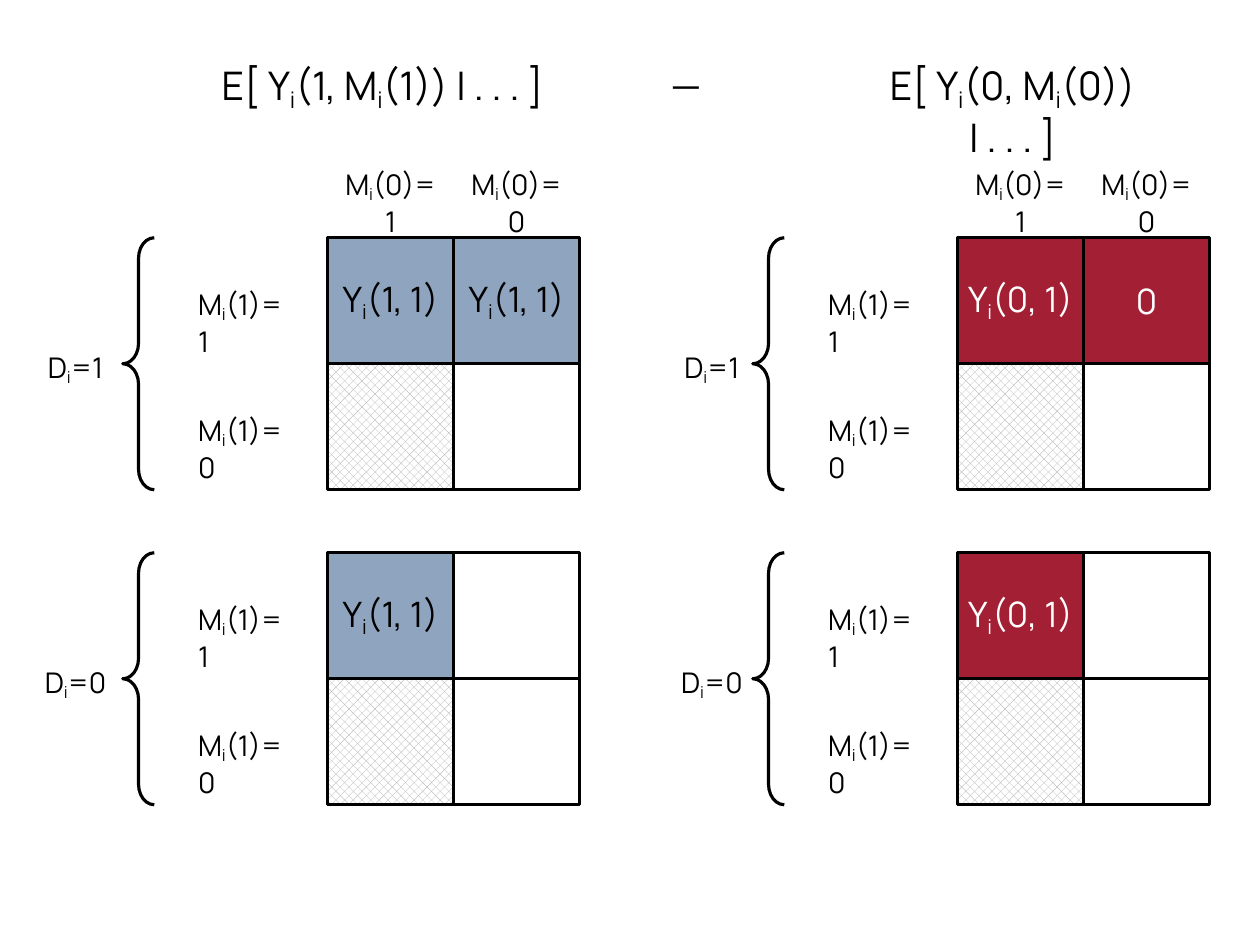
from pptx import Presentation
from pptx.dml.color import RGBColor
from pptx.enum.dml import MSO_PATTERN
from pptx.enum.shapes import MSO_SHAPE
from pptx.enum.text import MSO_ANCHOR, MSO_AUTO_SIZE, PP_ALIGN
from pptx.util import Pt

PX = 9144
FONT = "Manrope"
BLACK = RGBColor(0x00, 0x00, 0x00)
WHITE = RGBColor(0xFF, 0xFF, 0xFF)
BLUE = RGBColor(0x8F, 0xA4, 0xBF)
RED = RGBColor(0xA3, 0x1F, 0x34)
GREY = RGBColor(0xB2, 0xB2, 0xB2)

RECTANGLE = MSO_SHAPE.RECTANGLE
LEFT_BRACE = MSO_SHAPE.LEFT_BRACE
DIAMONDS = MSO_PATTERN.OUTLINED_DIAMOND
MIDDLE = MSO_ANCHOR.MIDDLE
GROW = MSO_AUTO_SIZE.SHAPE_TO_FIT_TEXT
LEFT, CENTER = PP_ALIGN.LEFT, PP_ALIGN.CENTER

CELL = 80
GRID_LEFT = 208
BLOCKS = [("D_i=1", 151), ("D_i=0", 351)]


def scaled(*lengths):
    """Turn px lengths into EMU."""
    return [length * PX for length in lengths]


def write_formula(frame, formula, size, color, align):
    """Write a formula in which _i stands for a subscript i."""
    para = frame.paragraphs[0]
    para.alignment = align
    for index, part in enumerate(formula.split("_i")):
        pieces = [(part, False)] if index == 0 else [("i", True), (part, False)]
        for text, lowered in pieces:
            span = para.add_run()
            span.text = text
            span.font.name = FONT
            span.font.size = Pt(size)
            span.font.color.rgb = color
            if lowered:
                span._r.get_or_add_rPr().set("baseline", "-20000")


def add_label(page, formula, left, top, width, height, size=13, align=CENTER):
    """Add a wrapping text box with a formula."""
    box = page.shapes.add_textbox(*scaled(left, top, width, height))
    box.text_frame.word_wrap = True
    box.text_frame.auto_size = GROW
    write_formula(box.text_frame, formula, size, BLACK, align)


def add_outline(page, kind, left, top, width, height):
    """Add a preset shape with a black outline and no shadow."""
    shape = page.shapes.add_shape(kind, *scaled(left, top, width, height))
    shape.shadow.inherit = False
    shape.line.color.rgb = BLACK
    shape.line.width = Pt(1.45)
    return shape


def add_cell(page, left, top, fill, formula="", color=BLACK):
    """Add one solid square of a grid, with its formula if it has one."""
    cell = add_outline(page, RECTANGLE, left, top, CELL, CELL)
    cell.fill.solid()
    cell.fill.fore_color.rgb = fill
    if formula:
        frame = cell.text_frame
        frame.word_wrap = False
        frame.vertical_anchor = MIDDLE
        frame.margin_left = frame.margin_right = 9 * PX
        frame.margin_top = frame.margin_bottom = 4 * PX
        write_formula(frame, formula, 16, color, CENTER)


def add_hatched_cell(page, left, top):
    """Add one hatched square of a grid."""
    cell = add_outline(page, RECTANGLE, left, top, CELL, CELL)
    cell.fill.patterned()
    cell.fill.pattern = DIAMONDS
    cell.fill.fore_color.rgb = GREY
    cell.fill.back_color.rgb = WHITE


def add_brace(page, left, top):
    """Add the brace that spans the two rows of a block."""
    brace = add_outline(page, LEFT_BRACE, left, top, 20, 2 * CELL)
    brace.fill.background()
    brace.adjustments[0] = 0.65


def add_block(page, origin, group_left, group, top, formulas, fill, color):
    """Add a two by two grid with its row labels, brace and group label."""
    first = origin + GRID_LEFT
    second = first + CELL
    for left, formula in zip((first, second), formulas):
        add_cell(page, left, top, fill if formula else WHITE, formula, color)
    add_cell(page, second, top + CELL, WHITE)
    add_hatched_cell(page, first, top + CELL)
    for row, value in enumerate((1, 0)):
        add_label(page, f"M_i(1)={value}", origin + 116, top + 26 + row * CELL,
                  CELL, 108, align=LEFT)
    add_brace(page, origin + 78, top)
    add_label(page, group, group_left, top + 66, CELL, 75)


def add_panel(page, origin, group_left, heading, rows, fill, color):
    """Add one expectation: heading, column labels and both blocks."""
    add_label(page, heading, origin + 128, 34, 230, 80, size=18)
    for column, value in enumerate((1, 0)):
        add_label(page, f"M_i(0)={value}", origin + GRID_LEFT + column * CELL,
                  101, CELL, 108)
    for (group, top), formulas in zip(BLOCKS, rows):
        add_block(page, origin, group_left, group, top, formulas, fill, color)


def main():
    """Build the slide and save it."""
    deck = Presentation()
    deck.slide_width, deck.slide_height = scaled(800, 600)
    page = deck.slides.add_slide(deck.slide_layouts[6])
    add_panel(page, 0, 8, "E[ Y_i(1, M_i(1)) | . . . ]",
              [("Y_i(1, 1)", "Y_i(1, 1)"), ("Y_i(1, 1)", "")], BLUE, BLACK)
    add_panel(page, 400, 412, "E[ Y_i(0, M_i(0)) | . . . ]",
              [("Y_i(0, 1)", "0"), ("Y_i(0, 1)", "")], RED, WHITE)
    add_label(page, "—", 410, 34, 51, 44, size=18)
    deck.save("out.pptx")


if __name__ == "__main__":
    main()
